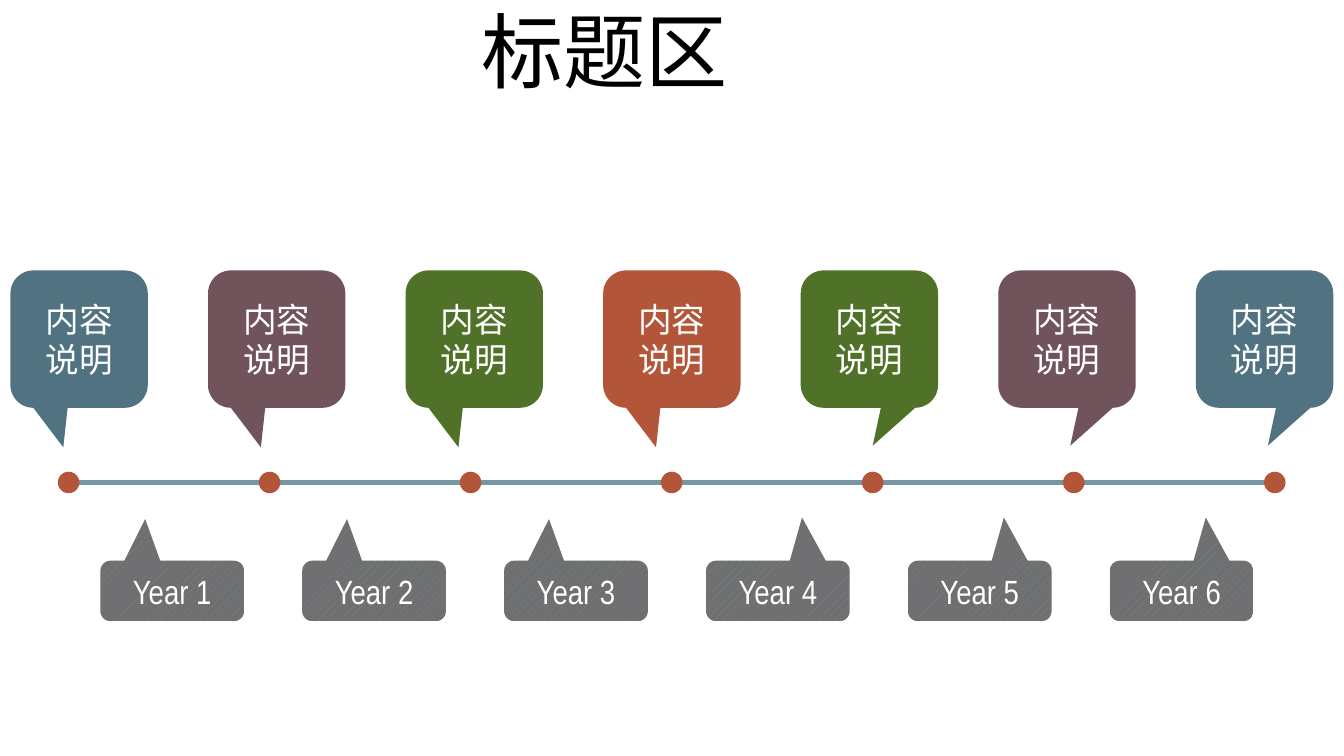
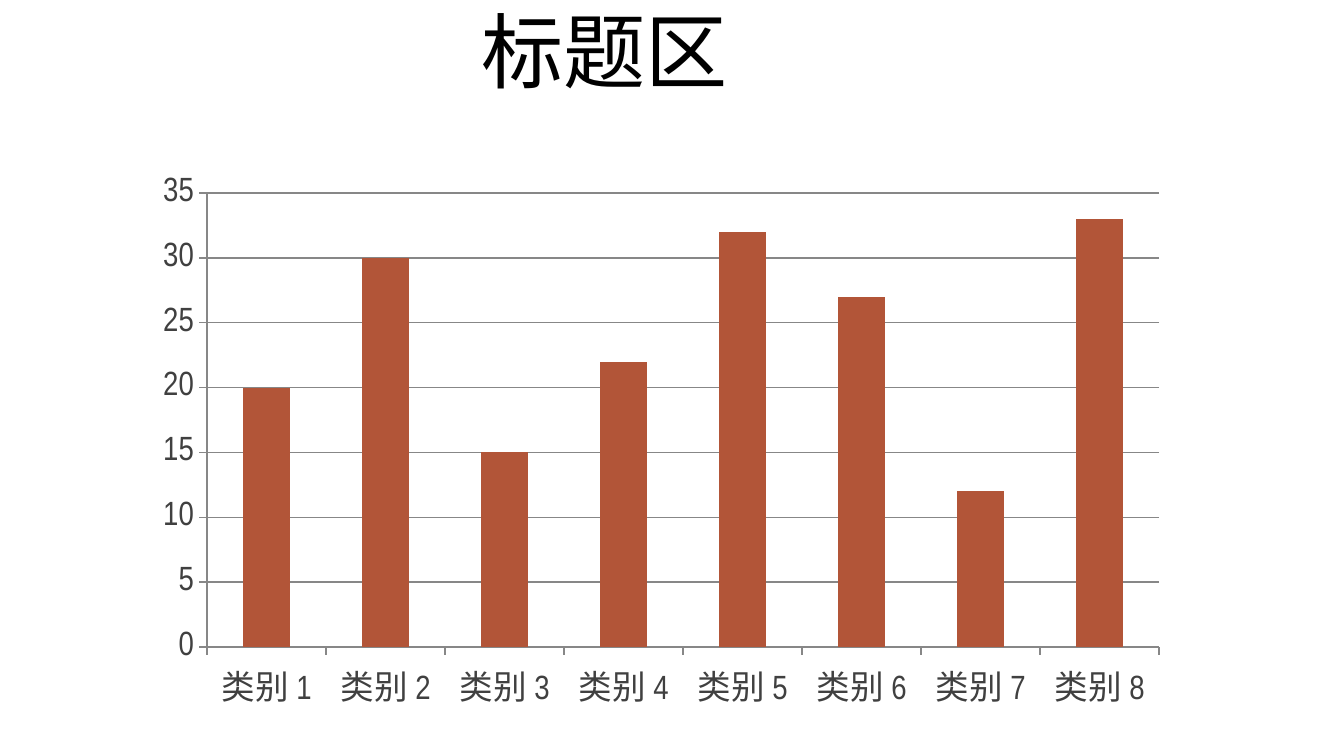
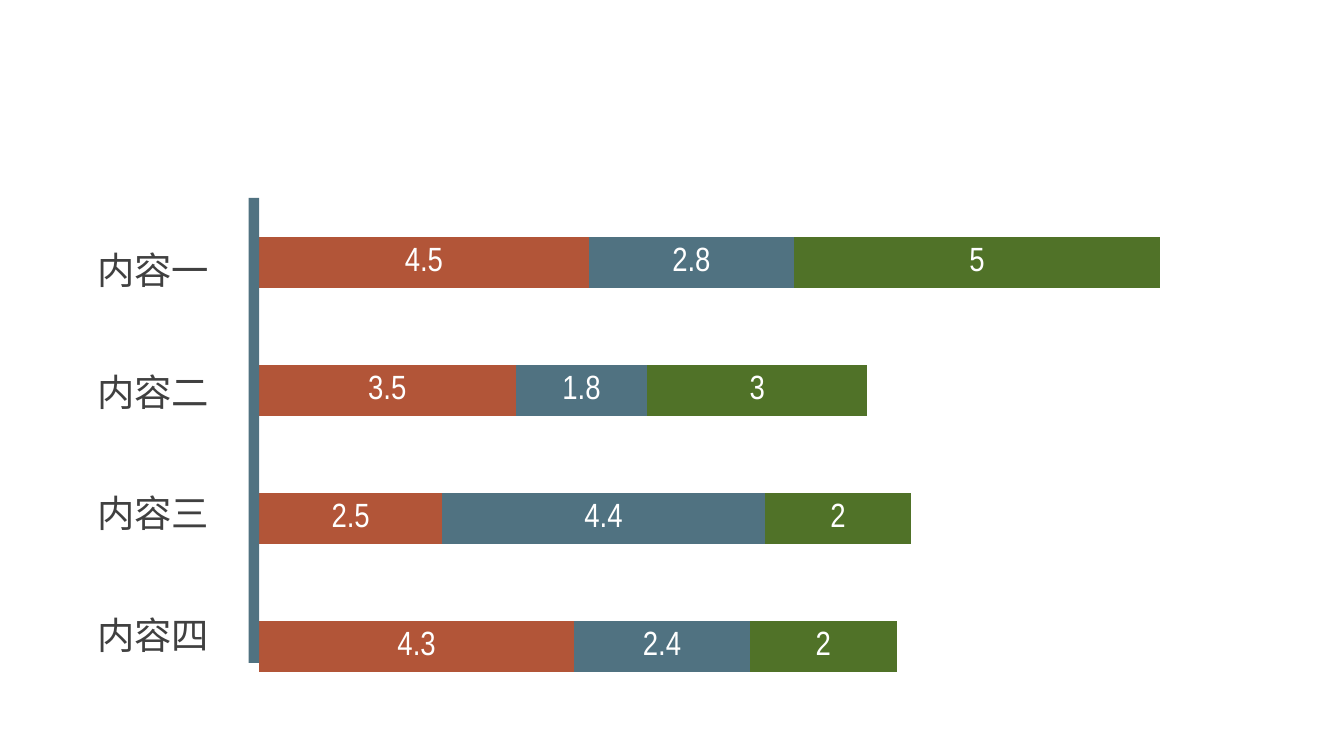
"""Build a three-slide deck: a timeline, a column chart and a stacked bar chart."""
from dataclasses import dataclass

from lxml import etree
from pptx import Presentation
from pptx import util as u
from pptx.chart import data as cd
from pptx.dml import color as col
from pptx.enum import chart as ch
from pptx.enum import dml, shapes, text
from pptx.oxml import ns

Pt = u.Pt
Rgb = col.RGBColor.from_string
Kind = shapes.MSO_SHAPE


@dataclass(frozen=True)
class Theme:
    rust: str = "B25538"
    teal: str = "507281"
    plum: str = "71535C"
    green: str = "507228"
    rail: str = "7895A4"
    gray: str = "6E6F71"
    stripe: str = "808080"
    grid: str = "878787"
    ink: str = "404040"
    black: str = "000000"
    white: str = "FFFFFF"
    font: str = "Arial Narrow"
    title: int = 44
    label: int = 20
    body: int = 18


look = Theme()


def write(shape, words, size=look.body, color=look.white,
          anchor=text.MSO_ANCHOR.MIDDLE, fit=text.MSO_AUTO_SIZE.NONE):
    frame = shape.text_frame
    frame.word_wrap = True
    frame.auto_size = fit
    frame.vertical_anchor = anchor
    para = frame.paragraphs[0]
    para.alignment = text.PP_ALIGN.CENTER
    run = para.add_run()
    run.text = words
    run.font.name = look.font
    run.font.size = Pt(size)
    run.font.color.rgb = Rgb(color)


def draw(page, kind, box, fill, adjust=()):
    shape = page.shapes.add_shape(kind, *map(Pt, box))
    shape.shadow.inherit = False
    shape.line.fill.background()
    shape.fill.solid()
    shape.fill.fore_color.rgb = Rgb(fill)
    for i, value in enumerate(adjust):
        shape.adjustments[i] = value
    return shape


deck = Presentation()
deck.slide_width, deck.slide_height = Pt(720), Pt(405)
pages = [deck.slides.add_slide(deck.slide_layouts[6]) for _ in range(3)]
line, column, stack = pages

for page in (line, column):
    head = page.shapes.add_textbox(Pt(0), Pt(-7.2), Pt(648), Pt(67.5))
    write(head, "标题区", size=look.title, color=look.black)

rail = line.shapes.add_connector(
    shapes.MSO_CONNECTOR.STRAIGHT, Pt(31), Pt(258.5), Pt(683), Pt(258.5))
rail.line.color.rgb = Rgb(look.rail)
rail.line.width = Pt(2.25)
etree.SubElement(rail._element.spPr, ns.qn("a:effectLst"))

for i in range(7):
    draw(line, Kind.OVAL, (31 + 107.7 * i, 252.75, 11.5, 11.5), look.rust)

for i in range(6):
    tail = (-0.188, -1.188, 0.167) if i < 3 else (0.168, -1.215, 0.167)
    year = draw(line, Kind.ROUNDED_RECTANGULAR_CALLOUT,
                (53.8 + 108.15 * i, 300.4, 77, 32.4), look.gray, tail)
    year.fill.patterned()
    year.fill.pattern = dml.MSO_PATTERN.WIDE_UPWARD_DIAGONAL
    year.fill.fore_color.rgb = Rgb(look.stripe)
    year.fill.back_color.rgb = Rgb(look.gray)
    write(year, f"Year {i + 1}")

half = [look.teal, look.plum, look.green]
for i, fill in enumerate(half + [look.rust] + half[::-1]):
    tail = (-0.115, 0.788, 0.167) if i < 4 else (0.024, 0.776, 0.167)
    note = draw(line, Kind.ROUNDED_RECTANGULAR_CALLOUT,
                (5.6 + 105.85 * i, 144.9, 73.6, 73.6), fill, tail)
    write(note, "内容说明")

plots = [
    (column, ch.XL_CHART_TYPE.COLUMN_CLUSTERED, (76.3, 89.3, 555.8, 296.6),
     [f"类别 {i}" for i in range(1, 9)], look.ink,
     [(look.rust, (20, 30, 15, 22, 32, 27, 12, 33))]),
    (stack, ch.XL_CHART_TYPE.BAR_STACKED, (127.4, 100.8, 572.4, 285.8),
     ["1", "2", "3", "4"], look.white,
     [(look.rust, (4.3, 2.5, 3.5, 4.5)),
      (look.teal, (2.4, 4.4, 1.8, 2.8)),
      (look.green, (2, 2, 3, 5))]),
]
charts = []
for page, kind, box, names, ink, rows in plots:
    data = cd.CategoryChartData()
    data.categories = names
    for i, (fill, values) in enumerate(rows, 1):
        data.add_series(f"Series {i}", values)
    chart = page.shapes.add_chart(kind, *map(Pt, box), data).chart
    chart.has_legend = chart.has_title = False
    chart.font.name = look.font
    chart.font.size = Pt(look.body)
    chart.font.color.rgb = Rgb(ink)
    plot = chart.plots[0]
    plot.vary_by_categories = False
    plot.gap_width = 150
    for series, (fill, values) in zip(plot.series, rows):
        series.format.fill.solid()
        series.format.fill.fore_color.rgb = Rgb(fill)
    charts.append(chart)

bars, bands = charts
bars.value_axis.maximum_scale = 35
bars.value_axis.major_unit = 5
bars.value_axis.has_major_gridlines = True
for edge in (bars.category_axis, bars.value_axis, bars.value_axis.major_gridlines):
    edge.format.line.color.rgb = Rgb(look.grid)
    edge.format.line.width = Pt(0.75)

bands.value_axis.minimum_scale = 0
bands.value_axis.maximum_scale = 14
bands.value_axis.has_major_gridlines = False
bands.category_axis.visible = bands.value_axis.visible = False
bands.plots[0].overlap = 100
for series in bands.plots[0].series:
    tags = series.data_labels
    tags.show_value = True
    tags.position = ch.XL_LABEL_POSITION.CENTER

draw(stack, Kind.RECTANGLE, (133.2, 106, 5.6, 249.2), look.teal)
for i, mark in enumerate("一二三四"):
    label = stack.shapes.add_textbox(Pt(36.7), Pt(128.9 + 65.1 * i), Pt(90.7), Pt(31.5))
    write(label, f"内容{mark}", size=look.label, color=look.ink,
          anchor=text.MSO_ANCHOR.TOP, fit=text.MSO_AUTO_SIZE.SHAPE_TO_FIT_TEXT)

deck.save("out.pptx")
